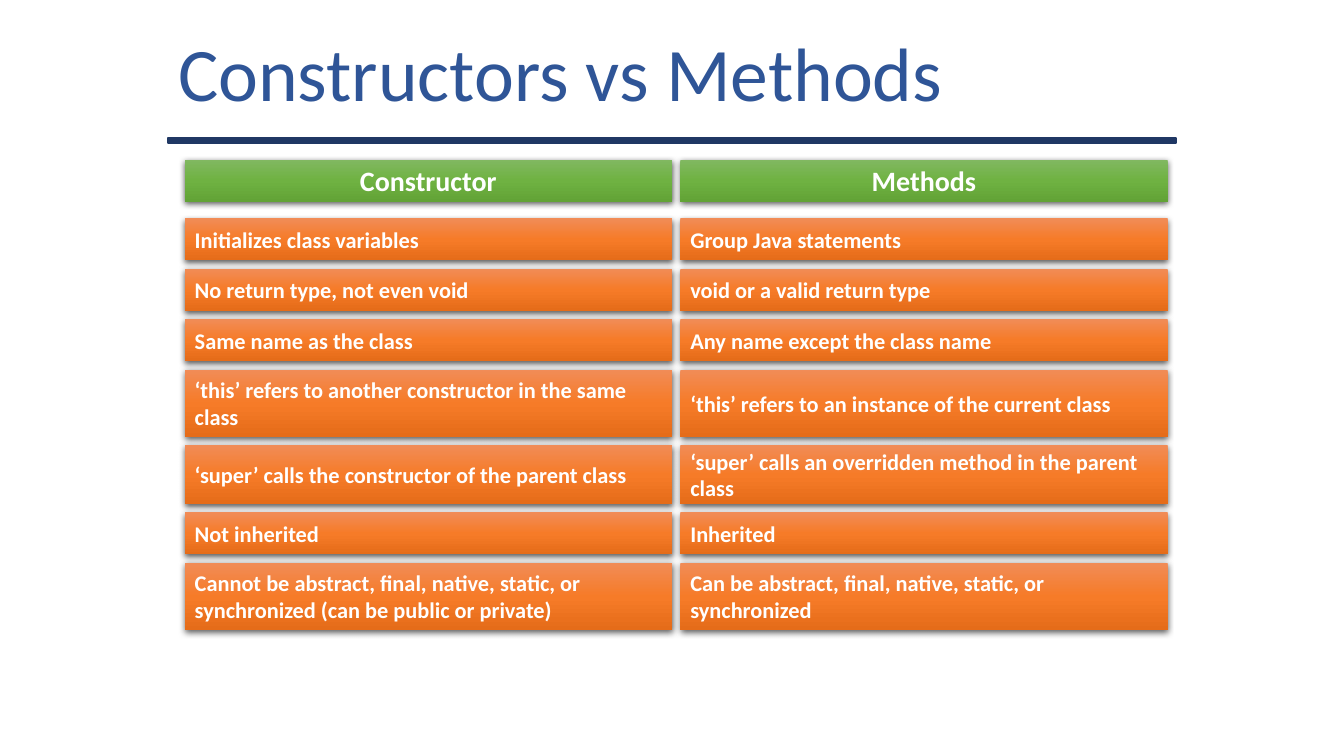
"""Build a slide comparing constructors with methods in Java."""
from pptx import Presentation
from pptx.dml.color import RGBColor
from pptx.enum.shapes import MSO_SHAPE as SHAPE
from pptx.enum.text import MSO_ANCHOR as ANCHOR, MSO_AUTO_SIZE as AUTO, PP_ALIGN as ALIGN
from pptx.oxml import parse_xml
from pptx.oxml.ns import nsdecls
from pptx.util import Pt

COLORS = {"navy": "203864", "title": "2F5597", "white": "FFFFFF", "shadow": "000000"}
GREEN = ["81B861", "6FB242", "62A336"]
ORANGE = ["F18C57", "F67B28", "E56C19"]


def write(tf, text, size, color, bold=True, align=ALIGN.LEFT):
    """Fill the first paragraph of a text frame with one formatted run."""
    tf.word_wrap = True
    tf.vertical_anchor = ANCHOR.MIDDLE
    p = tf.paragraphs[0]
    p.alignment = align
    r = p.add_run()
    r.text = text
    r.font.name, r.font.size, r.font.bold = "Calibri", Pt(size), bold
    r.font.color.rgb = RGBColor.from_string(COLORS[color])


def add_cell(left, top, height, text, size, stops, align):
    """Add a shaded, shadowed box with one line of text."""
    sp = s.shapes.add_shape(SHAPE.RECTANGLE, Pt(left), Pt(top), Pt(COL_W), Pt(height))
    sp.line.fill.background()
    ln = sp.line._ln
    gs = "".join(f'<a:gs pos="{i * 50000}"><a:srgbClr val="{c}"/></a:gs>'
                 for i, c in enumerate(stops))
    ln.addprevious(parse_xml(
        f'<a:gradFill {nsdecls("a")} rotWithShape="1"><a:gsLst>{gs}</a:gsLst>'
        '<a:lin ang="5400000" scaled="0"/></a:gradFill>'))
    ln.addnext(parse_xml(
        f'<a:effectLst {nsdecls("a")}><a:outerShdw blurRad="{Pt(4.5)}" dist="{Pt(1.5)}" '
        f'dir="5400000" algn="ctr" rotWithShape="0"><a:srgbClr val="{COLORS["shadow"]}">'
        '<a:alpha val="63000"/></a:srgbClr></a:outerShdw></a:effectLst>'))
    write(sp.text_frame, text, size, "white", align=align)


prs = Presentation()
prs.slide_width, prs.slide_height = Pt(960), Pt(540)
s = prs.slides.add_slide(prs.slide_layouts[5])

rule = s.shapes.add_shape(SHAPE.RECTANGLE, Pt(120), Pt(98.6), Pt(720), Pt(3.6))
rule.shadow.inherit = False
rule.fill.solid()
rule.fill.fore_color.rgb = RGBColor.from_string(COLORS["navy"])
rule.line.color.rgb = RGBColor.from_string(COLORS["navy"])
rule.line.width = Pt(1)

title = s.shapes.title
title.left, title.top, title.width, title.height = Pt(120), Pt(0), Pt(564), Pt(102)
title.text_frame.auto_size = AUTO.NONE
write(title.text_frame, "Constructors vs Methods", 54, "title", bold=False)

COL_W, GAP = 348, 6
LEFTS = [132, 132 + COL_W + GAP]
ROWS = [
    (30, "Initializes class variables", "Group Java statements"),
    (30, "No return type, not even void", "void or a valid return type"),
    (30, "Same name as the class", "Any name except the class name"),
    (48, "‘this’ refers to another constructor in the same class",
     "‘this’ refers to an instance of the current class"),
    (42, "‘super’ calls the constructor of the parent class",
     "‘super’ calls an overridden method in the parent class"),
    (30, "Not inherited", "Inherited"),
    (48, "Cannot be abstract, final, native, static, or synchronized (can be public or private)",
     "Can be abstract, final, native, static, or synchronized"),
]

for left, text in zip(LEFTS, ["Constructor", "Methods"]):
    add_cell(left, 114, 30, text, 20, GREEN, ALIGN.CENTER)

top = 156
for height, *texts in ROWS:
    for left, text in zip(LEFTS, texts):
        add_cell(left, top, height, text, 16, ORANGE, ALIGN.LEFT)
    top += height + GAP

prs.save("out.pptx")
